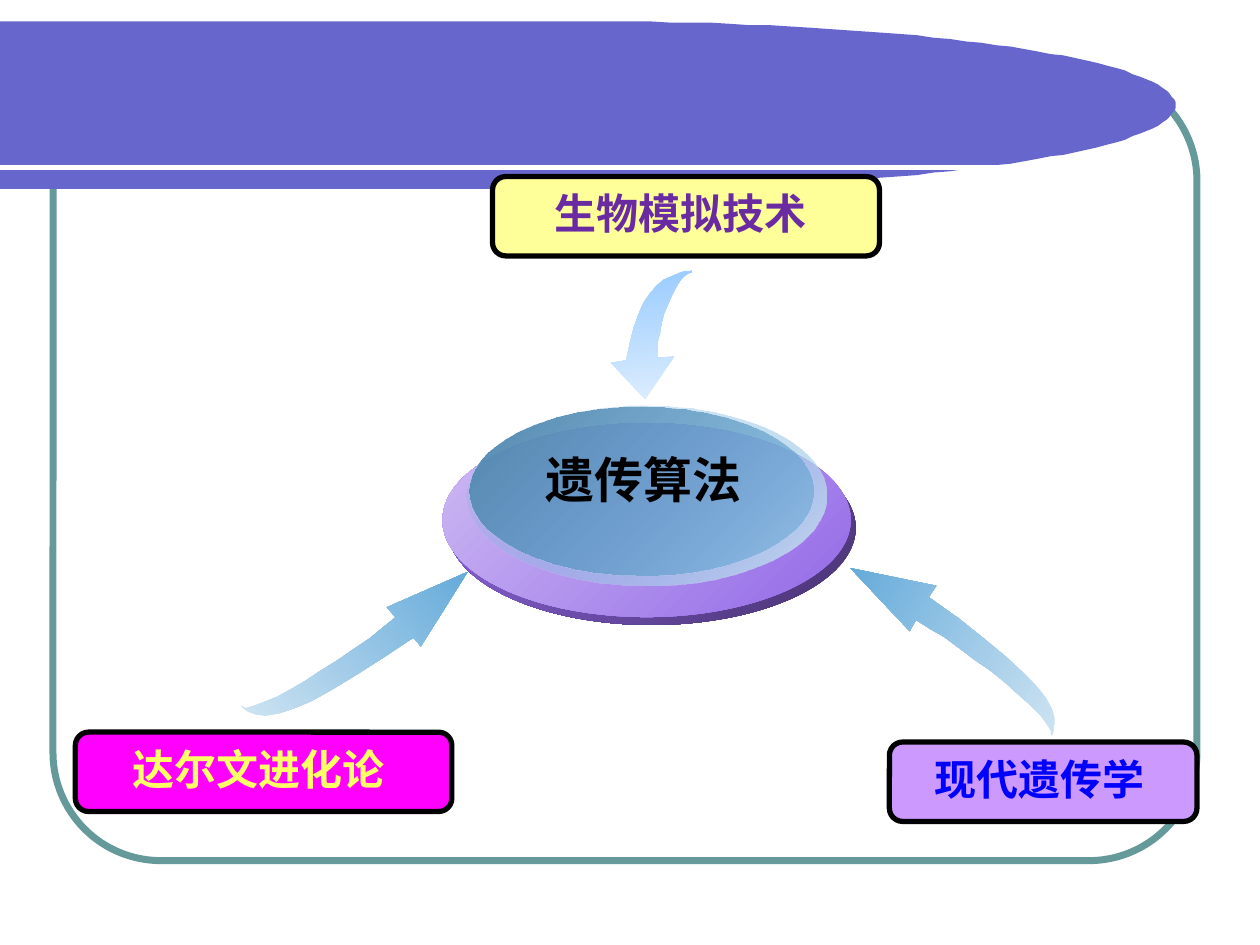
"""Build the slide on the three sources of genetic algorithms."""
from math import cos, pi, sin
from lxml.etree import SubElement
from pptx import Presentation
from pptx.dml.color import RGBColor
from pptx.enum.shapes import MSO_CONNECTOR, MSO_SHAPE
from pptx.enum.text import MSO_ANCHOR, PP_ALIGN
from pptx.oxml.ns import qn
from pptx.util import Cm, Pt


def rgb(value):
    return RGBColor.from_string(value)


def paint(sp, fill=None, line=None, width=3, angle=0):
    sp.shadow.inherit = False
    if line:
        sp.line.color.rgb = rgb(line)
        sp.line.width = Pt(width)
    else:
        sp.line.fill.background()
    if fill is None:
        sp.fill.background()
    elif isinstance(fill, str):
        sp.fill.solid()
        sp.fill.fore_color.rgb = rgb(fill)
    else:
        sp.fill.gradient()
        sp.fill.gradient_angle = 360 - angle
        for stop, (color, opacity) in zip(sp.fill.gradient_stops, fill):
            stop.color.rgb = rgb(color)
            if opacity < 100:
                node = sp.fill._xPr.find(f".//{qn('a:srgbClr')}[@val='{color}']")
                SubElement(node, qn("a:alpha")).set("val", str(opacity * 1000))


prs = Presentation()
prs.slide_width, prs.slide_height = Cm(25.4), Cm(19.05)
s = prs.slides.add_slide(prs.slide_layouts[6])
unit = Cm(2.54) / 100

frame = s.shapes.add_shape(MSO_SHAPE.ROUNDED_RECTANGLE, Cm(1.07), Cm(1.47), Cm(23.06), Cm(15.88))
frame.adjustments[0] = 0.137
paint(frame, line="669999", width=4)

arc = [(467 + 466 * sin(pi * i / 90), 83.5 - 66.5 * cos(pi * i / 90)) for i in range(91)]
builder = s.shapes.build_freeform(0, 17, scale=unit)
builder.add_line_segments(arc + [(0, 150)])
paint(builder.convert_to_shape(), "6666CC")

rule = s.shapes.add_connector(MSO_CONNECTOR.STRAIGHT, 0, Cm(3.38), Cm(22.43), Cm(3.38))
rule.line.color.rgb = rgb("FFFFFF")
rule.line.width = Pt(3)
SubElement(rule._element.spPr, qn("a:effectLst"))

ellipses = [
    (9.27, 8.76, 7.47, 3.73, ("66ABDA", 100), ("2F4E64", 100)),
    (9.8, 8.89, 6.1, 2.74, ("66ABDA", 38), ("FEFEFE", 100)),
    (9.02, 8.69, 8.23, 3.91, ("47326F", 100), ("9369E7", 100)),
    (8.92, 8.53, 8.23, 3.91, ("9369E7", 100), ("CEBBF3", 100)),
    (9.4, 8.18, 7.26, 3.63, ("C8E0F1", 100), ("66ABDA", 0)),
    (9.47, 8.2, 6.93, 3.4, ("66ABDA", 48), ("5086AC", 100)),
]
for x, y, w, h, *stops in ellipses:
    sp = s.shapes.add_shape(MSO_SHAPE.OVAL, Cm(x), Cm(y), Cm(w), Cm(h))
    paint(sp, stops, angle=225)

boxes = [
    (1.52, 14.76, 7.59, "FF00FF"),
    (17.93, 14.96, 6.2, "CC99FF"),
    (9.93, 3.56, 7.8, "FFFF99"),
]
for x, y, w, fill in boxes:
    sp = s.shapes.add_shape(MSO_SHAPE.ROUNDED_RECTANGLE, Cm(x), Cm(y), Cm(w), Cm(1.6))
    paint(sp, fill, "000000")

labels = [
    ("遗传算法", 10.69, 8.94, 4.55, 1.45, 28, "000000", "Noto Sans CJK SC"),
    ("达尔文进化论", 1.83, 14.86, 6.78, 1.27, 24, "FFFF66", "Arial"),
    ("现代遗传学", 18.19, 15.06, 5.54, 1.27, 24, "0000FF", "Arial"),
    ("生物模拟技术", 10.24, 3.66, 6.96, 1.27, 24, "692AA2", "Arial"),
]
for text, x, y, w, h, size, color, font in labels:
    tf = s.shapes.add_textbox(Cm(x), Cm(y), Cm(w), Cm(h)).text_frame
    tf.word_wrap = True
    tf.vertical_anchor = MSO_ANCHOR.TOP
    p = tf.paragraphs[0]
    p.alignment = PP_ALIGN.CENTER
    r = p.add_run()
    r.text = text
    for name, value in {"size": Pt(size), "bold": True, "name": font}.items():
        setattr(r.font, name, value)
    r.font.color.rgb = rgb(color)
    SubElement(r._r.get_or_add_rPr(), qn("a:ea")).set("typeface", "Noto Sans CJK SC")

arrows = [
    (209, "CDE3F2", "66ABDA", [
        (835, 584), (837, 578), (837, 570), (835, 563), (830, 554), (822, 544), (811, 533),
        (798, 521), (781, 507), (761, 491), (737, 474), (743, 465), (675, 451), (722, 501),
        (727, 492), (738, 499), (750, 506), (762, 515), (774, 524), (787, 533), (798, 542),
        (809, 552), (818, 560), (826, 568), (831, 575), (834, 580), (834, 583)]),
    (265, "DDEDFE", "99CCFF", [
        (549, 215), (541, 216), (534, 219), (527, 222), (521, 227), (516, 233), (511, 240),
        (507, 249), (503, 260), (500, 272), (497, 286), (485, 288), (512, 317), (535, 283),
        (522, 284), (522, 278), (522, 271), (524, 264), (525, 257), (527, 249), (530, 242),
        (533, 235), (536, 229), (539, 224), (542, 220), (546, 217), (549, 216)]),
    (319, "CDE3F2", "66ABDA", [
        (192, 561), (197, 565), (203, 567), (211, 568), (222, 566), (234, 562), (248, 556),
        (264, 547), (282, 536), (304, 522), (328, 506), (334, 513), (371, 454), (307, 482),
        (314, 490), (304, 498), (293, 507), (281, 515), (268, 524), (255, 532), (243, 540),
        (231, 547), (220, 553), (210, 557), (202, 560), (195, 562), (192, 560)]),
]
for angle, tail, head, points in arrows:
    builder = s.shapes.build_freeform(*points[0], scale=unit)
    builder.add_line_segments(points[1:])
    paint(builder.convert_to_shape(), [(tail, 100), (head, 100)], angle=angle)

prs.save("out.pptx")
